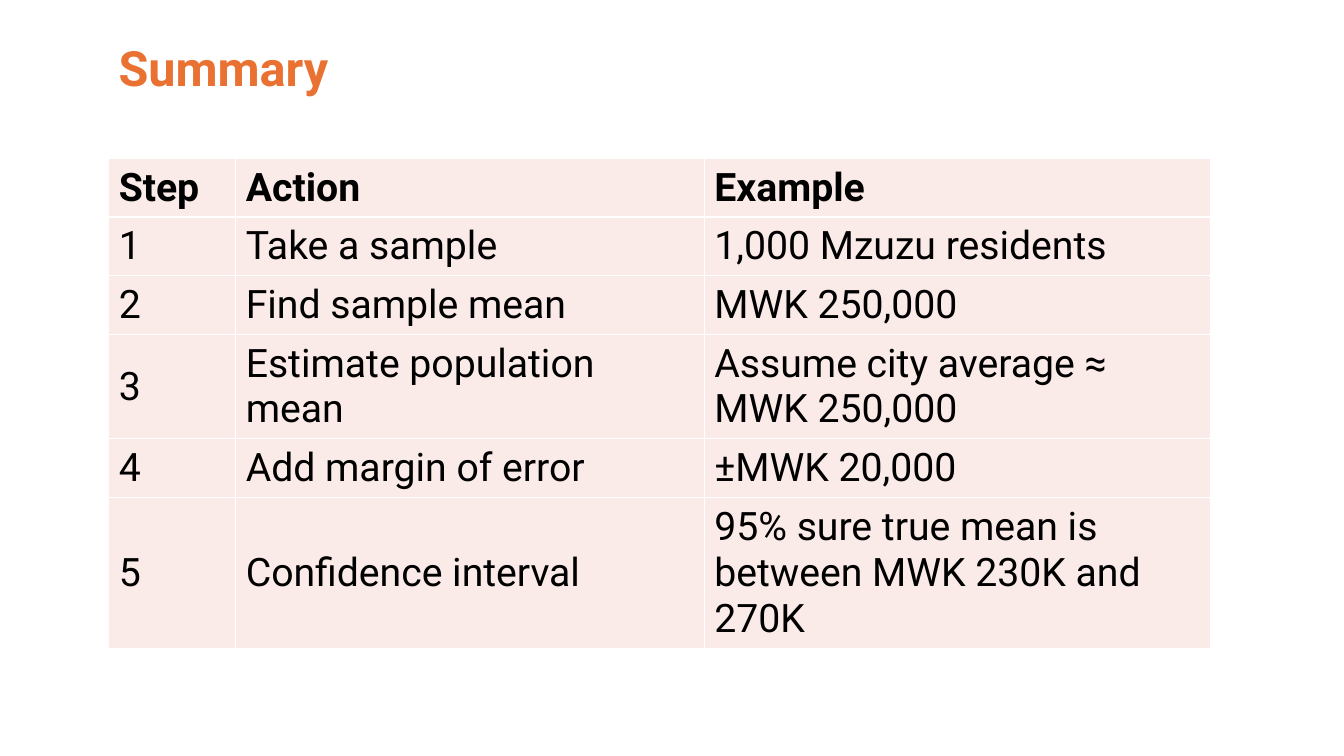
from dataclasses import dataclass

from lxml.etree import SubElement
from pptx import Presentation
from pptx.dml.color import RGBColor as Rgb
from pptx.enum.text import MSO_ANCHOR as Anchor
from pptx.oxml.ns import qn
from pptx.util import Cm, Pt


@dataclass(frozen=True)
class Theme:
    font: str = "Roboto"
    accent: str = "E97132"
    ink: str = "000000"
    cell_fill: str = "FBEBE8"
    border: str = "FFFFFF"
    border_width: int = Pt(1)
    title_size: float = 34.7
    table_size: float = 28


STEPS = [
    ("Step", "Action", "Example"),
    ("1", "Take a sample", "1,000 Mzuzu residents"),
    ("2", "Find sample mean", "MWK 250,000"),
    ("3", "Estimate population mean", "Assume city average ≈ MWK 250,000"),
    ("4", "Add margin of error", "±MWK 20,000"),
    ("5", "Confidence interval", "95% sure true mean is between MWK 230K and 270K"),
]
COLUMN_WIDTHS = [3.2, 11.81, 12.75]
ROW_HEIGHTS = [1.48, 1.48, 1.48, 2.6, 1.48, 3.7]


class SlideBuilder:
    def __init__(self, slide, theme):
        self.slide = slide
        self.theme = theme

    def add_text(self, frame, text, size, color, bold=False):
        run = frame.paragraphs[0].add_run()
        run.text = text
        run.font.name = self.theme.font
        run.font.size = Pt(size)
        run.font.bold = bold
        run.font.color.rgb = Rgb.from_string(color)

    def title(self, text, left, top, width, height):
        heading = self.slide.shapes.add_textbox(Cm(left), Cm(top), Cm(width), Cm(height))
        frame = heading.text_frame
        frame.word_wrap = True
        frame.vertical_anchor = Anchor.MIDDLE
        frame.margin_left = frame.margin_right = Cm(0.25)
        frame.margin_top = frame.margin_bottom = Cm(0.25)
        self.add_text(frame, text, self.theme.title_size, self.theme.accent, bold=True)

    def outline(self, cell):
        properties = cell._tc.get_or_add_tcPr()
        for side in ("a:lnL", "a:lnR", "a:lnT", "a:lnB"):
            line = SubElement(properties, qn(side), w=str(self.theme.border_width))
            fill = SubElement(line, qn("a:solidFill"))
            SubElement(fill, qn("a:srgbClr"), val=self.theme.border)

    def table(self, content, left, top, widths, heights):
        steps = self.slide.shapes.add_table(
            len(heights), len(widths), Cm(left), Cm(top), Cm(sum(widths)), Cm(sum(heights))
        ).table
        steps.horz_banding = False
        for column, width in zip(steps.columns, widths):
            column.width = Cm(width)
        for row, height in zip(steps.rows, heights):
            row.height = Cm(height)
        for row_index, entries in enumerate(content):
            for column_index, entry in enumerate(entries):
                cell = steps.cell(row_index, column_index)
                cell.vertical_anchor = Anchor.MIDDLE
                self.outline(cell)
                cell.fill.solid()
                cell.fill.fore_color.rgb = Rgb.from_string(self.theme.cell_fill)
                self.add_text(cell.text_frame, entry, self.theme.table_size,
                              self.theme.ink, bold=row_index == 0)


def main():
    deck = Presentation()
    deck.slide_width, deck.slide_height = Cm(33.87), Cm(19.05)
    summary = SlideBuilder(deck.slides.add_slide(deck.slide_layouts[6]), Theme())
    summary.title("Summary", 2.74, 0.71, 26.7, 1.98)
    summary.table(STEPS, 2.74, 3.99, COLUMN_WIDTHS, ROW_HEIGHTS)
    deck.save("out.pptx")


if __name__ == "__main__":
    main()
